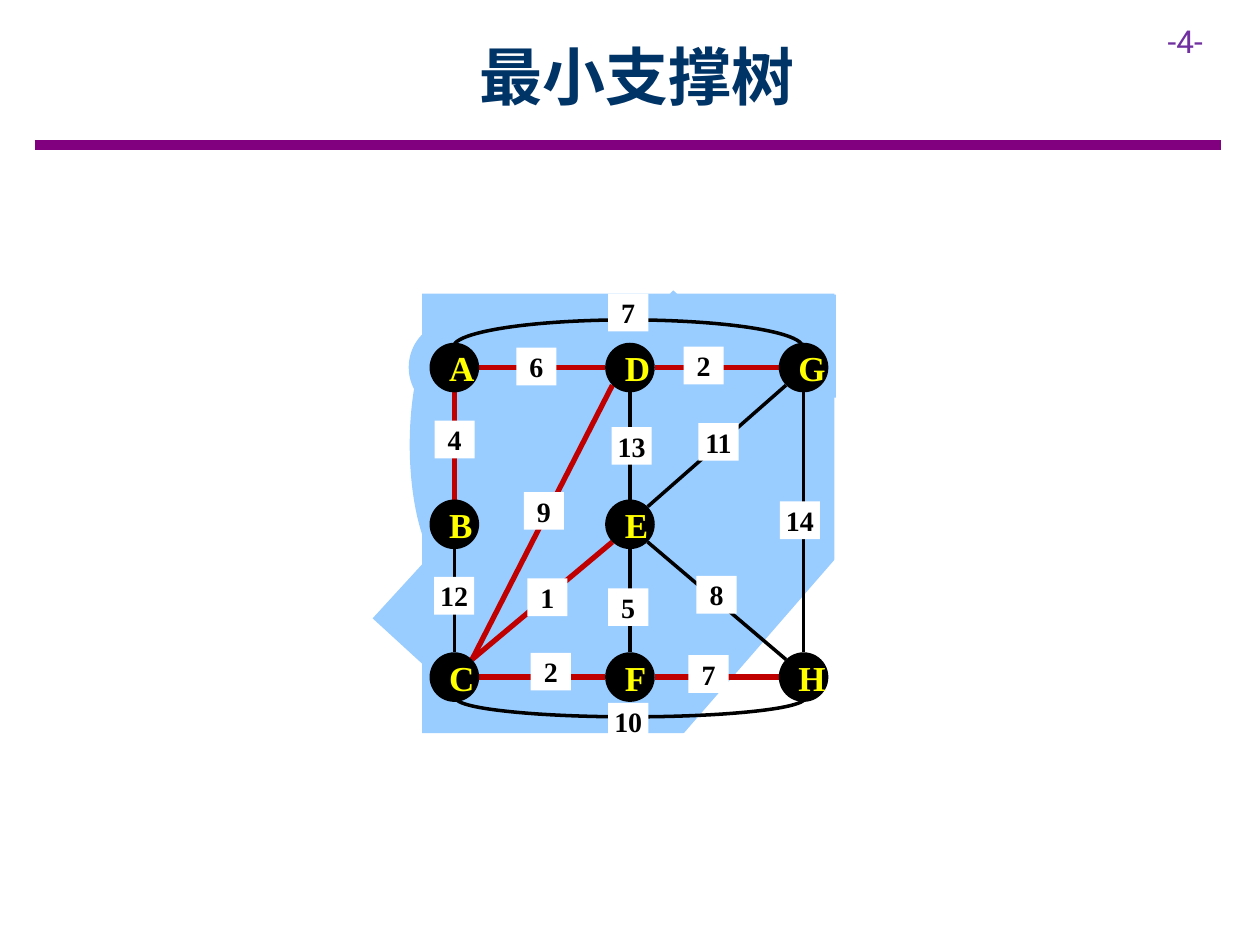
from lxml import etree
from pptx import Presentation
from pptx.dml.color import RGBColor
from pptx.enum.shapes import MSO_CONNECTOR, MSO_SHAPE
from pptx.enum.text import MSO_ANCHOR, PP_ALIGN
from pptx.oxml.ns import qn
from pptx.util import Cm, Pt

RECT, OVAL = MSO_SHAPE.RECTANGLE, MSO_SHAPE.OVAL
TRI, ARC = MSO_SHAPE.ISOSCELES_TRIANGLE, MSO_SHAPE.ARC
LINE = MSO_CONNECTOR.STRAIGHT
MID, CENTER = MSO_ANCHOR.MIDDLE, PP_ALIGN.CENTER
SERIF, SANS, CJK = "Times New Roman", "Roboto", "Noto Sans CJK SC"
HEX = {"title": "003366", "rule": "800080", "page": "7030A0", "sky": "99CCFF",
       "white": "FFFFFF", "black": "000000", "red": "C00000", "yellow": "FFFF00"}
RGB = {name: RGBColor.from_string(code) for name, code in HEX.items()}

deck = Presentation()
deck.slide_width, deck.slide_height = Cm(25.4), Cm(19.05)
slide = deck.slides.add_slide(deck.slide_layouts[5])
shapes = slide.shapes


def add_form(kind, box, fill, text="", size=16, ink="black", side=0):
    form = shapes.add_shape(kind, *map(Cm, box))
    form.shadow.inherit = False
    form.line.fill.background()
    form.fill.solid()
    form.fill.fore_color.rgb = RGB[fill]
    if text:
        frame = form.text_frame
        frame.word_wrap = True
        frame.vertical_anchor = MID
        frame.margin_left = frame.margin_right = Cm(side)
        frame.margin_top = frame.margin_bottom = Cm(0.25)
        frame.text = text
        frame.paragraphs[0].alignment = CENTER
        font = frame.paragraphs[0].runs[0].font
        font.name, font.size, font.bold = SERIF, Pt(size), True
        font.color.rgb = RGB[ink]
    return form


def add_line(x1, y1, x2, y2, color, width):
    line = shapes.add_connector(LINE, Cm(x1), Cm(y1), Cm(x2), Cm(y2))
    line.line.color.rgb = RGB[color]
    line.line.width = Pt(width)
    etree.SubElement(line._element.spPr, qn("a:effectLst"))


# Title
title = shapes.title
title.left, title.top, title.width, title.height = map(Cm, (2.29, 0.25, 21.11, 2.54))
title.text_frame.text = "最小支撑树"
title.text_frame.vertical_anchor = MID
title.text_frame.paragraphs[0].alignment = CENTER
run = title.text_frame.paragraphs[0].runs[0]
run.font.name, run.font.size, run.font.bold = CJK, Pt(36), True
run.font.color.rgb = RGB["title"]
etree.SubElement(run.font._element, qn("a:ea")).set("typeface", CJK)

# Rule and page number
add_line(0.7, 2.92, 24.61, 2.92, "rule", 6)
page = shapes.add_textbox(Cm(23.29), Cm(0.32), Cm(2.11), Cm(1.02))
page.text_frame.word_wrap = True
page.text_frame.text = "-4-"
font = page.text_frame.paragraphs[0].runs[0].font
font.name, font.size = SANS, Pt(18)
font.color.rgb = RGB["page"]

# Shaded area: kind, box, turn, fill
patches = [
    (RECT, (8.51, 5.92, 8.31, 8.86), 0, "sky"),
    (TRI, (13.72, 11.2, 3.18, 3.66), 0, "white"),
    (RECT, (7.19, 8.66, 8.97, 3.07), 312.5, "sky"),
    (RECT, (8.51, 5.94, 8.34, 2.08), 0, "sky"),
    (OVAL, (8.26, 6.35, 1.8, 5.23), 0, "sky"),
    (OVAL, (8.24, 6.48, 1.8, 1.85), 0, "sky"),
]
for kind, box, turn, fill in patches:
    patch = add_form(kind, box, fill)
    patch.rotation = turn
    if kind == TRI:
        patch.adjustments[0] = 1

# Node centres on a grid
cols, rows, rad = (9.16, 12.7, 16.2), (7.41, 10.57, 13.65), 0.5
spots = {name: (x, y) for y, names in zip(rows, ("ADG", "BE", "CFH"))
         for x, name in zip(cols, names)}

# Edges: the tree in red, the others in black
tree = ["AB", "AD", "DG", "DC", "EC", "CF", "FH"]
others = ["BC", "DE", "EF", "EH", "EG", "GH"]
for group, color, width in ((others, "black", 2), (tree, "red", 3)):
    for start, end in group:
        (x1, y1), (x2, y2) = spots[start], spots[end]
        dx, dy = (x2 > x1) - (x2 < x1), (y2 > y1) - (y2 < y1)
        gap = rad * (0.71 if dx and dy else 1)
        add_line(x1 + dx * gap, y1 + dy * gap, x2 - dx * gap, y2 - dy * gap, color, width)

# Curved edges A-G and C-H
for box, turn in (((9.14, 6.45, 7.04, 1.09), 0), ((9.19, 13.69, 7.04, 0.76), 180)):
    arc = add_form(ARC, box, "white")
    arc.fill.background()
    arc.adjustments[0] = 108.18
    arc.rotation = turn
    arc.line.color.rgb = RGB["black"]
    arc.line.width = Pt(2)

# Weights
weights = [
    ("12", 8.75, 11.63), ("13", 12.33, 8.61), ("11", 14.08, 8.53),
    ("14", 15.72, 10.11), ("8", 14.04, 11.61), ("10", 12.26, 14.17),
    ("7", 12.26, 5.92), ("4", 8.76, 8.48), ("6", 10.41, 7.01),
    ("2", 13.78, 6.99), ("9", 10.56, 9.92), ("1", 10.63, 11.66),
    ("5", 12.26, 11.86), ("7", 13.88, 13.21), ("2", 10.7, 13.16),
]
for text, x, y in weights:
    add_form(RECT, (x, y, 0.81, 0.76), "white", text)

# Nodes
for name, (x, y) in spots.items():
    add_form(OVAL, (x - rad, y - rad, 2 * rad, 2 * rad), "black", name, 20, "yellow", 0.25)

deck.save("out.pptx")
